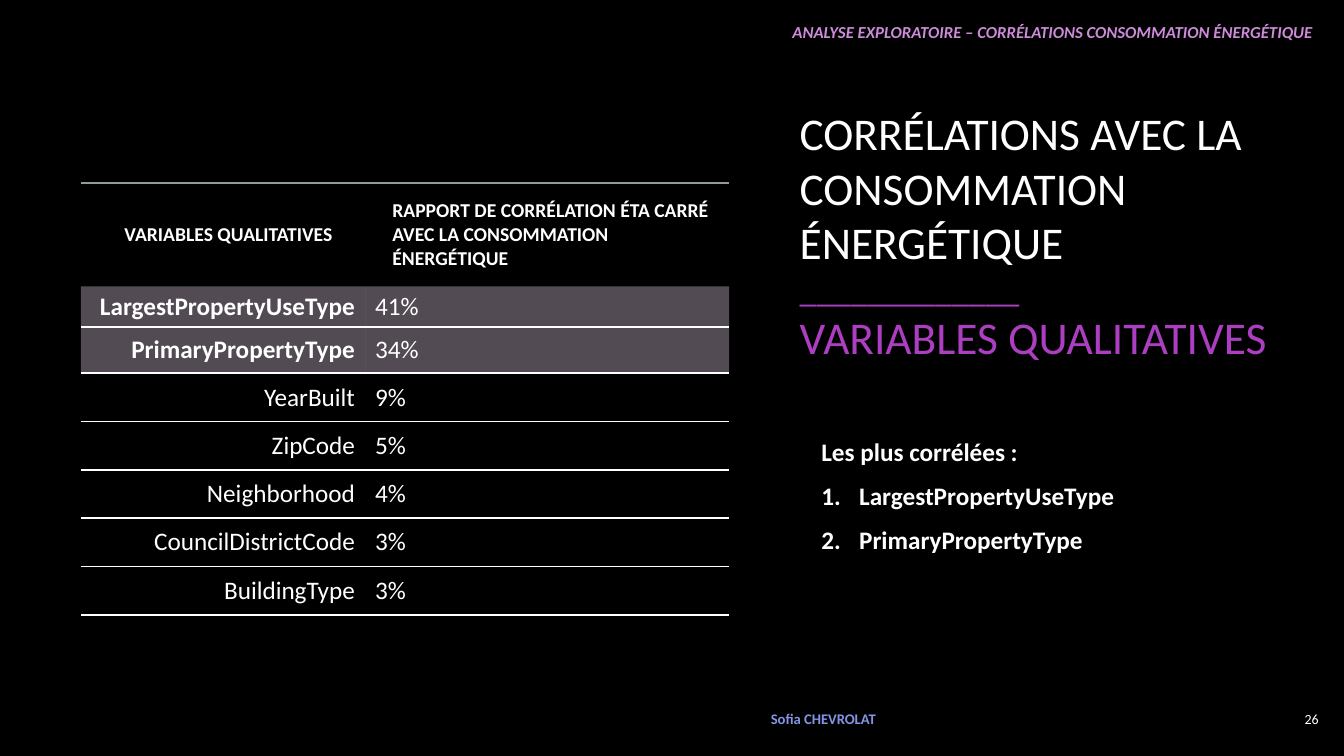
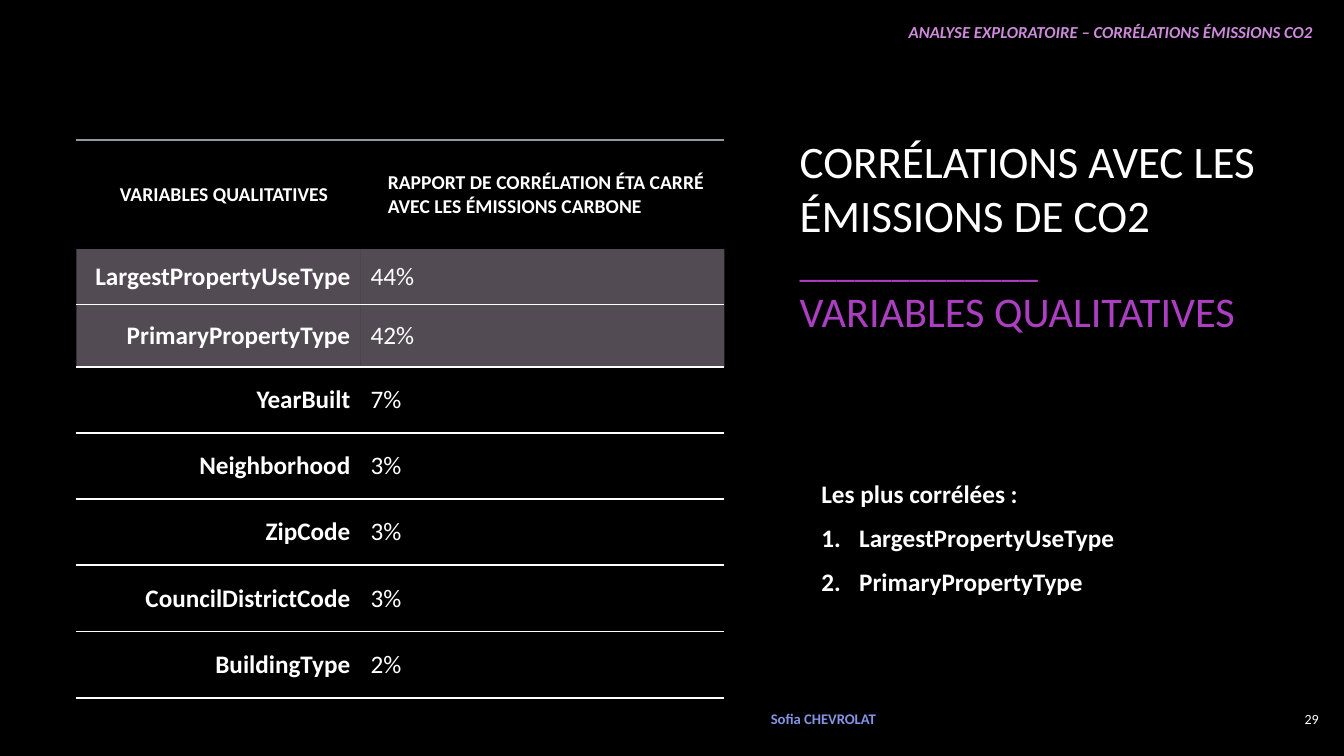
from copy import deepcopy
from dataclasses import dataclass

from lxml import etree
from pptx import Presentation
from pptx.dml.color import RGBColor
from pptx.enum import text as t
from pptx.oxml import ns
from pptx.util import Pt


@dataclass(frozen=True)
class Theme:
    font: str = "Calibri"
    back: str = "000000"
    ink: str = "FFFFFF"
    accent: str = "AC3EC1"
    tag: str = "CD8BDA"
    author: str = "8394E4"
    band: str = "EED8F3"
    rule: str = "8F9A9D"
    small: float = 10
    foot: float = 10.5
    label: float = 12
    head: float = 14
    body: float = 18
    line: float = 1.5


LOOK = Theme()
LEFT, MID, RIGHT = t.PP_ALIGN.LEFT, t.PP_ALIGN.CENTER, t.PP_ALIGN.RIGHT
COLS = (203, 260)
PLAIN = "{2D5ABB26-0587-4C30-8999-92F81FD0307C}"
PAGES = [
    dict(
        tag="ANALYSE EXPLORATOIRE – CORRÉLATIONS CONSOMMATION ÉNERGÉTIQUE",
        number="26",
        title="CORRÉLATIONS AVEC LA CONSOMMATION ÉNERGÉTIQUE",
        sizes=(32.4, 24.3, 32.4),
        deep=168,
        spot=(57.8, 130.5),
        heights=[73.5, 28.8, 32.8] + [34.5] * 5,
        ratio="RAPPORT DE CORRÉLATION ÉTA CARRÉ AVEC LA CONSOMMATION ÉNERGÉTIQUE",
        strong=2,
        data=[("LargestPropertyUseType", "41%"), ("PrimaryPropertyType", "34%"),
              ("YearBuilt", "9%"), ("ZipCode", "5%"), ("Neighborhood", "4%"),
              ("CouncilDistrictCode", "3%"), ("BuildingType", "3%")],
    ),
    dict(
        tag="ANALYSE EXPLORATOIRE – CORRÉLATIONS ÉMISSIONS CO2",
        number="29",
        title="CORRÉLATIONS AVEC LES ÉMISSIONS DE CO2",
        sizes=(32.2, 26.3, 30.2),
        deep=228,
        spot=(54.5, 100),
        heights=[78, 39.5, 44.5] + [47.3] * 5,
        ratio="RAPPORT DE CORRÉLATION ÉTA CARRÉ AVEC LES ÉMISSIONS CARBONE",
        strong=7,
        data=[("LargestPropertyUseType", "44%"), ("PrimaryPropertyType", "42%"),
              ("YearBuilt", "7%"), ("Neighborhood", "3%"), ("ZipCode", "3%"),
              ("CouncilDistrictCode", "3%"), ("BuildingType", "2%")],
    ),
]


def node(parent, tag, **attrs):
    return etree.SubElement(parent, ns.qn(tag), **attrs)


def write(par, words, size, color=LOOK.ink, bold=False, slant=False):
    run = par.add_run()
    run.text = words
    font = run.font
    font.name, font.size = LOOK.font, Pt(size)
    font.bold, font.italic = bold, slant
    font.color.rgb = RGBColor.from_string(color)
    return run


def place(shape, left, top, width, height):
    shape.left, shape.top = Pt(left), Pt(top)
    shape.width, shape.height = Pt(width), Pt(height)
    frame = shape.text_frame
    frame.word_wrap = True
    frame.auto_size = t.MSO_AUTO_SIZE.NONE
    frame.vertical_anchor = t.MSO_ANCHOR.MIDDLE
    return frame


def label(slide, box, words, size, color, align=LEFT, **style):
    shape = slide.shapes.add_textbox(*map(Pt, box))
    par = place(shape, *box).paragraphs[0]
    par.alignment = align
    write(par, words, size, color, **style)


def title(slide, words, sizes):
    par = place(slide.shapes.title, 564, 65, 363.5, 205).paragraphs[0]
    par.alignment = LEFT
    parts = (words, "_" * 13, "VARIABLES QUALITATIVES")
    colors = (LOOK.ink, LOOK.accent, LOOK.accent)
    for i, (part, size, color) in enumerate(zip(parts, sizes, colors)):
        run = write(par, part, size, color)
        if i < len(parts) - 1:
            par.add_line_break()
            par._p[-1].append(deepcopy(run._r.rPr))


def ranking(slide, names, deep):
    frame = place(slide.placeholders[1], 579.5, 270, 322.5, deep)
    for i, words in enumerate(["Les plus corrélées :", *names]):
        par = frame.add_paragraph() if i else frame.paragraphs[0]
        props = par._p.get_or_add_pPr()
        dent = Pt(27) if i else 0
        props.set("marL", str(dent))
        props.set("indent", str(-dent))
        if i:
            node(node(props, "a:buClr"), "a:srgbClr", val=LOOK.ink)
            node(props, "a:buFont", typeface="+mj-lt")
            node(props, "a:buAutoNum", type="arabicPeriod")
        else:
            node(props, "a:buNone")
        par.alignment = LEFT
        par.space_before, par.space_after = Pt(0), Pt(10)
        write(par, words, LOOK.body, bold=True)


def border(cell, side, color, alpha=100):
    edge = etree.Element(ns.qn("a:" + side), w=str(Pt(LOOK.line)))
    tint = node(node(edge, "a:solidFill"), "a:srgbClr", val=color)
    if alpha < 100:
        node(tint, "a:alpha", val=str(alpha * 1000))
    cell._tc.get_or_add_tcPr().insert(0, edge)


def shade(cell, color, alpha):
    cell.fill.solid()
    cell.fill.fore_color.rgb = RGBColor.from_string(color)
    tint = cell._tc.tcPr.find(".//" + ns.qn("a:srgbClr"))
    node(tint, "a:alpha", val=str(alpha * 1000))


def fill(cell, words, size, align, bold):
    cell.vertical_anchor = t.MSO_ANCHOR.MIDDLE
    par = cell.text_frame.paragraphs[0]
    par.alignment = align
    write(par, words, size, bold=bold)


def grid(slide, spot, heights, ratio, data, strong):
    frame = slide.shapes.add_table(len(heights), len(COLS), *map(Pt, (*spot, sum(COLS), sum(heights))))
    table = frame.table
    table.first_row = table.horz_banding = False
    table._tbl.tblPr.find(ns.qn("a:tableStyleId")).text = PLAIN
    for col, width in zip(table.columns, COLS):
        col.width = Pt(width)
    for row, height in zip(table.rows, heights):
        row.height = Pt(height)
    for cell, words, align in zip(table.rows[0].cells, ("VARIABLES QUALITATIVES", ratio), (MID, LEFT)):
        cell.margin_left = Pt(19.5)
        cell.margin_top = cell.margin_right = cell.margin_bottom = Pt(11.5)
        fill(cell, words, LOOK.head, align, True)
        cell.fill.background()
        border(cell, "lnT", LOOK.rule, 60)
    for r, pair in enumerate(data, 1):
        for c, words in enumerate(pair):
            cell = table.cell(r, c)
            fill(cell, words, LOOK.body, LEFT if c else RIGHT, c == 0 and r <= strong)
            if r <= 2:
                shade(cell, LOOK.band, 35)
            else:
                cell.fill.background()
            border(cell, "lnB", LOOK.ink)


def page(deck, tag, number, title_words, sizes, deep, **chart):
    slide = deck.slides.add_slide(deck.slide_layouts[1])
    label(slide, (552, 12, 393, 22), tag, LOOK.label, LOOK.tag, RIGHT, bold=True, slant=True)
    label(slide, (906, 498.5, 43, 29.5), number, LOOK.small, LOOK.ink, RIGHT)
    label(slide, (543.5, 498.5, 127, 29.5), "Sofia CHEVROLAT", LOOK.foot, LOOK.author, bold=True)
    title(slide, title_words, sizes)
    grid(slide, **chart)
    ranking(slide, [name for name, _ in chart["data"][:2]], deep)


def main():
    deck = Presentation()
    deck.slide_width, deck.slide_height = Pt(960), Pt(540)
    back = deck.slide_master.background.fill
    back.solid()
    back.fore_color.rgb = RGBColor.from_string(LOOK.back)
    for item in PAGES:
        rest = {key: val for key, val in item.items() if key != "title"}
        page(deck, title_words=item["title"], **rest)
    deck.save("out.pptx")


if __name__ == "__main__":
    main()
